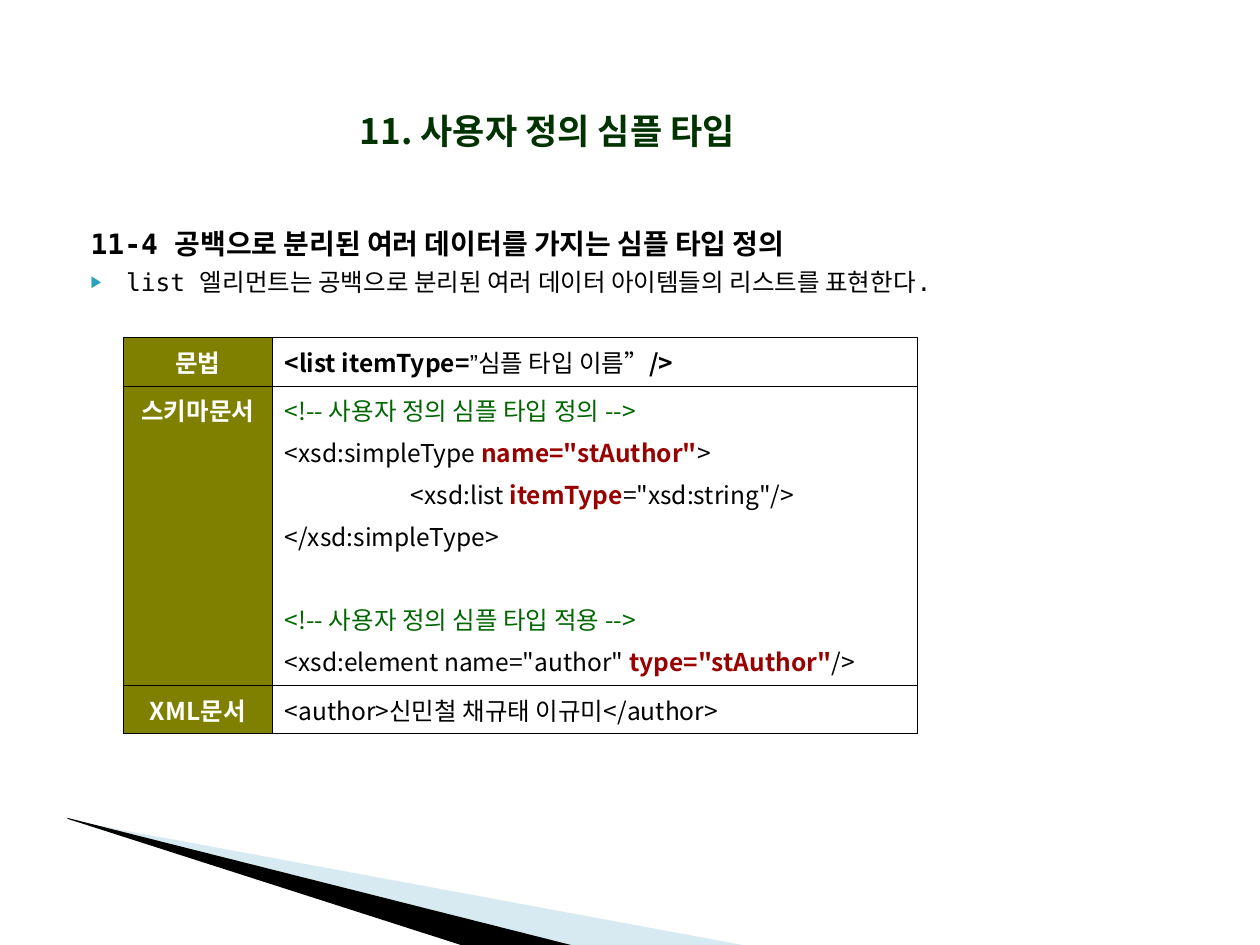
from lxml.etree import SubElement
from pptx import Presentation
from pptx.dml.color import RGBColor
from pptx.enum.text import MSO_ANCHOR, MSO_AUTO_SIZE, PP_ALIGN
from pptx.oxml import parse_xml
from pptx.oxml.ns import nsdecls, qn
from pptx.util import Inches, Pt

SANS = "Noto Sans CJK KR"
MONO = "DejaVu Sans Mono"
BLACK, WHITE, OLIVE = "000000", "FFFFFF", "808000"
GREEN, RED = "006600", "990000"


def color(hex_value):
    return RGBColor.from_string(hex_value)


def set_font(font, size, name=SANS, hex_value=BLACK, bold=False):
    """Format a font, with the Korean face set for East Asian text."""
    font.size, font.name, font.bold = Pt(size), name, bold
    font.color.rgb = color(hex_value)
    east_asian = parse_xml(f'<a:ea {nsdecls("a")} typeface="{SANS}"/>')
    font._element.find(qn("a:latin")).addnext(east_asian)


presentation = Presentation()
presentation.slide_width, presentation.slide_height = Inches(10), Inches(7.5)
slide = presentation.slides.add_slide(presentation.slide_layouts[1])

# Decorative wedges at the bottom
wedges = [
    ("9FCBDC", 40, [(0.55, 6.51), (5.95, 7.51), (4.56, 7.51), (0.55, 6.5)]),
    (BLACK, 100, [(0.53, 6.49), (4.57, 7.51), (3.72, 7.52), (0.54, 6.5)]),
]
for fill, opacity, points in wedges:
    corners = [(Inches(x), Inches(y)) for x, y in points]
    builder = slide.shapes.build_freeform(*corners[0])
    builder.add_line_segments(corners[1:], close=True)
    wedge = builder.convert_to_shape()
    wedge.shadow.inherit = False
    wedge.line.fill.background()
    wedge.fill.solid()
    wedge.fill.fore_color.rgb = color(fill)
    if opacity < 100:
        fill_color = wedge._element.spPr.find(qn("a:solidFill"))[0]
        SubElement(fill_color, qn("a:alpha"), val=str(opacity * 1000))

# Title
title = slide.shapes.title
title.left, title.top = Inches(1.47), Inches(0.76)
title.width, title.height = Inches(5.75), Inches(0.55)
title.text_frame.auto_size = MSO_AUTO_SIZE.NONE
title.text_frame.vertical_anchor = MSO_ANCHOR.MIDDLE
paragraph = title.text_frame.paragraphs[0]
paragraph.text = "11. 사용자 정의 심플 타입"
paragraph.alignment = PP_ALIGN.CENTER
set_font(paragraph.font, 20, hex_value="003300", bold=True)

# Heading and bullet
body = slide.placeholders[1]
body.left, body.top = Inches(0.5), Inches(1.75)
body.width, body.height = Inches(8.99), Inches(0.66)
body.text_frame.auto_size = MSO_AUTO_SIZE.NONE
body.text_frame.text = (
    "11-4 공백으로 분리된 여러 데이터를 가지는 심플 타입 정의\n"
    "list 엘리먼트는 공백으로 분리된 여러 데이터 아이템들의 리스트를 표현한다."
)
heading, bullet = body.text_frame.paragraphs
for paragraph, size, space in [(heading, 16, 0), (bullet, 14, 4)]:
    paragraph.space_before = Pt(space)
    properties = paragraph._p.get_or_add_pPr()
    properties.set("marL", str(Inches(0.4)))
    properties.set("indent", str(Inches(-0.28)))
    if paragraph is heading:
        SubElement(properties, qn("a:buNone"))
    else:
        bullet_color = SubElement(properties, qn("a:buClr"))
        SubElement(bullet_color, qn("a:srgbClr"), val="2DA2BF")
        SubElement(properties, qn("a:buSzPct"), val="68000")
        SubElement(properties, qn("a:buChar"), char="▶")
    set_font(paragraph.font, size, MONO, bold=paragraph is heading)

# Table: each row has a label and lines of (text, colour, bold, font) runs
schema = [
    [("<!-- 사용자 정의 심플 타입 정의 -->", GREEN, False, SANS)],
    [("<xsd:simpleType ", BLACK, False, SANS),
     ('name="stAuthor"', RED, True, SANS),
     (">", BLACK, False, SANS)],
    [("\t<xsd:list ", BLACK, False, SANS),
     ("itemType", RED, True, SANS),
     ('="xsd:string"/>', BLACK, False, SANS)],
    [("</xsd:simpleType>", BLACK, False, SANS)],
    [("<!-- 사용자 정의 심플 타입 적용 -->", GREEN, False, SANS)],
    [('<xsd:element name="author" ', BLACK, False, SANS),
     ('type="stAuthor"', RED, True, SANS),
     ("/>", BLACK, False, SANS)],
]
syntax = [[
    ("<list itemType=", BLACK, True, SANS),
    ("”", BLACK, False, "Arial"),
    ("심플 타입 이름", BLACK, False, SANS),
    ("”", BLACK, False, "Arial"),
    ("/>", BLACK, True, SANS),
]]
document = [[("<author>신민철 채규태 이규미</author>", BLACK, False, SANS)]]
rows = [
    ("문법", 0.34, syntax),
    ("스키마문서", 2.03, schema),
    ("XML문서", 0.34, document),
]
LINE_GAP = 3.5
SECTION_GAP = 27.3  # one empty line between the two schema parts

table = slide.shapes.add_table(
    len(rows), 2, Inches(0.98), Inches(2.68), Inches(6.3), Inches(2.69)
).table
table.first_row = table.horz_banding = False
table.columns[0].width, table.columns[1].width = Inches(1.18), Inches(5.12)

for row_index, (label, height, lines) in enumerate(rows):
    table.rows[row_index].height = Inches(height)
    label_lines = [[(label, WHITE, True, SANS)]]
    columns = [(label_lines, OLIVE, PP_ALIGN.CENTER), (lines, WHITE, PP_ALIGN.LEFT)]
    for column_index, (cell_lines, fill, alignment) in enumerate(columns):
        cell = table.cell(row_index, column_index)
        for side in ("lnL", "lnR", "lnT", "lnB"):
            border = SubElement(cell._tc.get_or_add_tcPr(), qn(f"a:{side}"), w=str(Pt(0.45)))
            border_fill = SubElement(border, qn("a:solidFill"))
            SubElement(border_fill, qn("a:srgbClr"), val=BLACK)
        cell.fill.solid()
        cell.fill.fore_color.rgb = color(fill)
        for line_index, runs in enumerate(cell_lines):
            frame = cell.text_frame
            paragraph = frame.add_paragraph() if line_index else frame.paragraphs[0]
            paragraph.alignment = alignment
            if line_index:
                paragraph.space_before = Pt(SECTION_GAP if line_index == 4 else LINE_GAP)
            if runs[0][0].startswith("\t"):
                tabs = SubElement(paragraph._p.get_or_add_pPr(), qn("a:tabLst"))
                SubElement(tabs, qn("a:tab"), pos=str(Inches(1)), algn="l")
            for text, hex_value, bold, name in runs:
                run = paragraph.add_run()
                run.text = text
                set_font(run.font, 14, name, hex_value, bold)

presentation.save("out.pptx")
